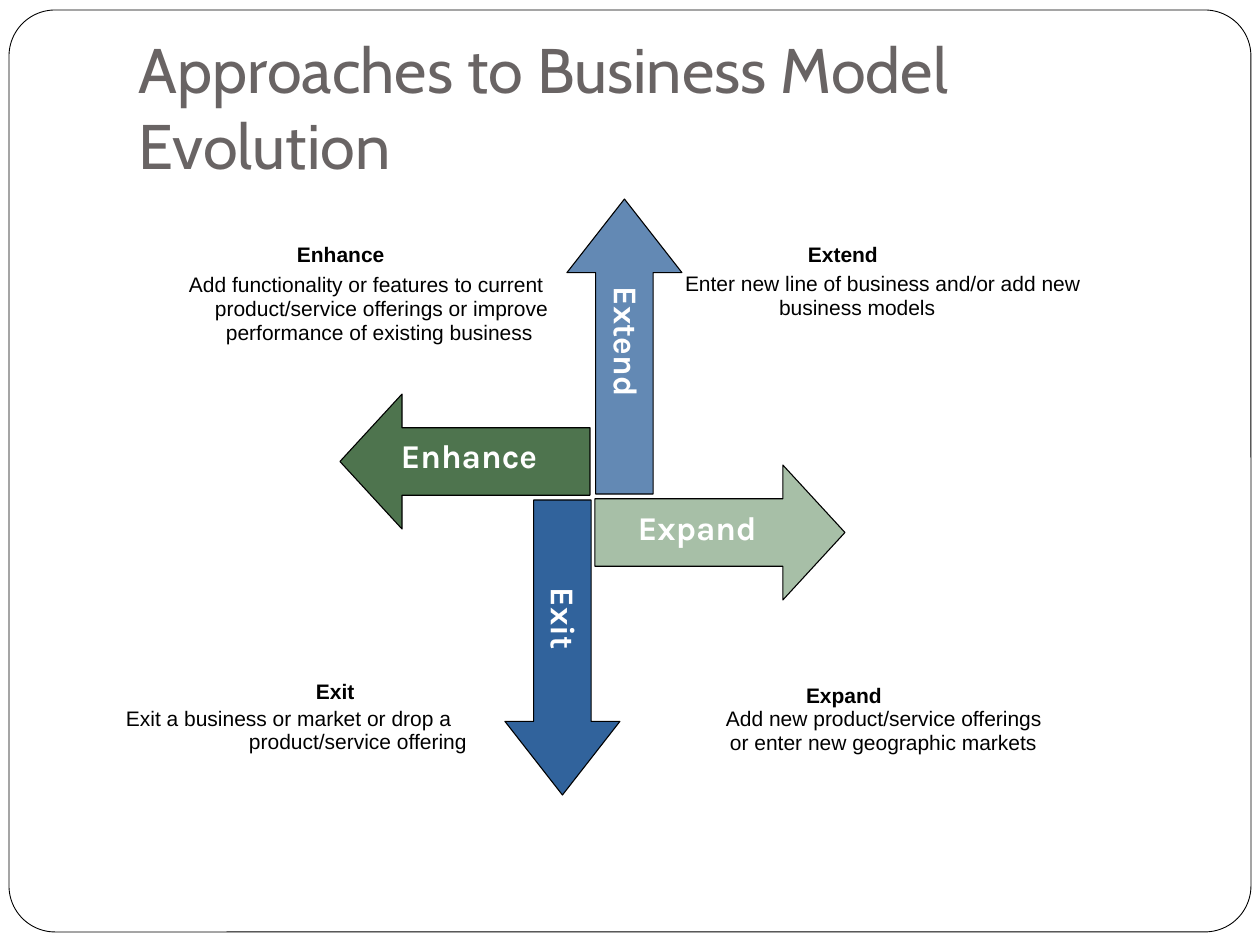
import pptx
import pptx.util
import pptx.dml.color
import pptx.enum.shapes
import pptx.enum.text

RGB = pptx.dml.color.RGBColor
SHAPE = pptx.enum.shapes.MSO_SHAPE
ANCHOR = pptx.enum.text.MSO_ANCHOR

WHITE = RGB(0xFF, 0xFF, 0xFF)
BLACK = RGB(0x00, 0x00, 0x00)
GREY = RGB(0x69, 0x64, 0x64)
SAGE = RGB(0xA7, 0xBF, 0xA7)
GREEN = RGB(0x4E, 0x74, 0x4E)
LIGHT_BLUE = RGB(0x63, 0x89, 0xB4)
BLUE = RGB(0x31, 0x63, 0x9C)

PX_PER_INCH = 126
LINE_H = 33

ARROWS = [
    ("Expand", SHAPE.RIGHT_ARROW, (595, 465, 250, 135), SAGE, (43, 42, 156, 62)),
    ("Enhance", SHAPE.LEFT_ARROW, (340, 394, 250, 135), GREEN, (61, 41, 176, 62)),
    ("Extend", SHAPE.UP_ARROW, (567, 199, 115, 295), LIGHT_BLUE, (-33, 149, 174, 52)),
    ("Exit", SHAPE.DOWN_ARROW, (505, 500, 115, 295), BLUE, (0, 115, 106, 52)),
]

NOTES = [
    ((189, 242), [
        ("Enhance", 108, 0, 97),
        ("Add functionality or features to current", 0, 30, 401),
        ("product/service offerings or improve", 26, 54, 377),
        ("performance of existing business", 37, 77, 340),
    ]),
    ((726, 683), [
        ("Expand", 80, 0, 84),
        ("Add new product/service offerings", 0, 23, 357),
        ("or enter new geographic markets", 4, 47, 340),
    ]),
    ((685, 242), [
        ("Extend", 123, 0, 78),
        ("Enter new line of business and/or add new", 0, 29, 445),
        ("business models", 94, 52, 173),
    ]),
    ((126, 679), [
        ("Exit", 190, 0, 43),
        ("Exit a business or market or drop a", 0, 27, 368),
        ("product/service offering", 123, 50, 242),
    ]),
]


def px(n):
    return pptx.util.Emu(round(n * 914400 / PX_PER_INCH))


def add_shape(s, kind, box, fill, line_width):
    sp = s.shapes.add_shape(kind, *map(px, box))
    sp.shadow.inherit = False
    sp.fill.solid()
    sp.fill.fore_color.rgb = fill
    sp.line.color.rgb = BLACK
    sp.line.width = pptx.util.Pt(line_width)
    return sp


def add_text(s, box, text, font, size, color, bold=False, insets=(0, 0, 0, 0)):
    sp = s.shapes.add_textbox(*map(px, box))
    tf = sp.text_frame
    tf.word_wrap = True
    tf.margin_left, tf.margin_top, tf.margin_right, tf.margin_bottom = map(px, insets)
    p = tf.paragraphs[0]
    p.text = text
    p.font.name = font
    p.font.size = pptx.util.Pt(size)
    p.font.bold = bold
    p.font.color.rgb = color
    return sp


def add_frame(s, box):
    sp = add_shape(s, SHAPE.ROUNDED_RECTANGLE, box, WHITE, 0.5)
    sp.adjustments[0] = 0.05


def add_title(s, box):
    sp = add_text(s, box, "Approaches to Business Model Evolution", "Cabin", 36,
                  GREY, insets=(13, 6, 13, 13))
    sp.text_frame.vertical_anchor = ANCHOR.BOTTOM


def add_arrow(s, box, name, kind, fill, label):
    x, y, w, h = box
    dx, dy, label_w, label_h = label
    vertical = h > w
    sp = add_shape(s, kind, box, fill, 0.63)
    sp.adjustments[0] = 0.5
    sp.adjustments[1] = 0.64 if vertical else 0.46
    text = add_text(s, (x + dx, y + dy, label_w, label_h), name, "Karla", 19, WHITE, True)
    text.rotation = 90 if vertical else 0


def add_note(s, origin, lines):
    x, y = origin
    for i, (text, dx, dy, w) in enumerate(lines):
        add_text(s, (x + dx, y + dy, w, LINE_H), text, "Arial", 12, BLACK, i == 0)


def main():
    prs = pptx.Presentation()
    prs.slide_width, prs.slide_height = px(1260), px(945)
    s = prs.slides.add_slide(prs.slide_layouts[6])
    add_frame(s, (9, 10, 1242, 922))
    add_title(s, (126, 38, 1071, 157))
    for name, kind, box, fill, label in ARROWS:
        add_arrow(s, box, name, kind, fill, label)
    for origin, lines in NOTES:
        add_note(s, origin, lines)
    prs.save("out.pptx")


if __name__ == "__main__":
    main()
